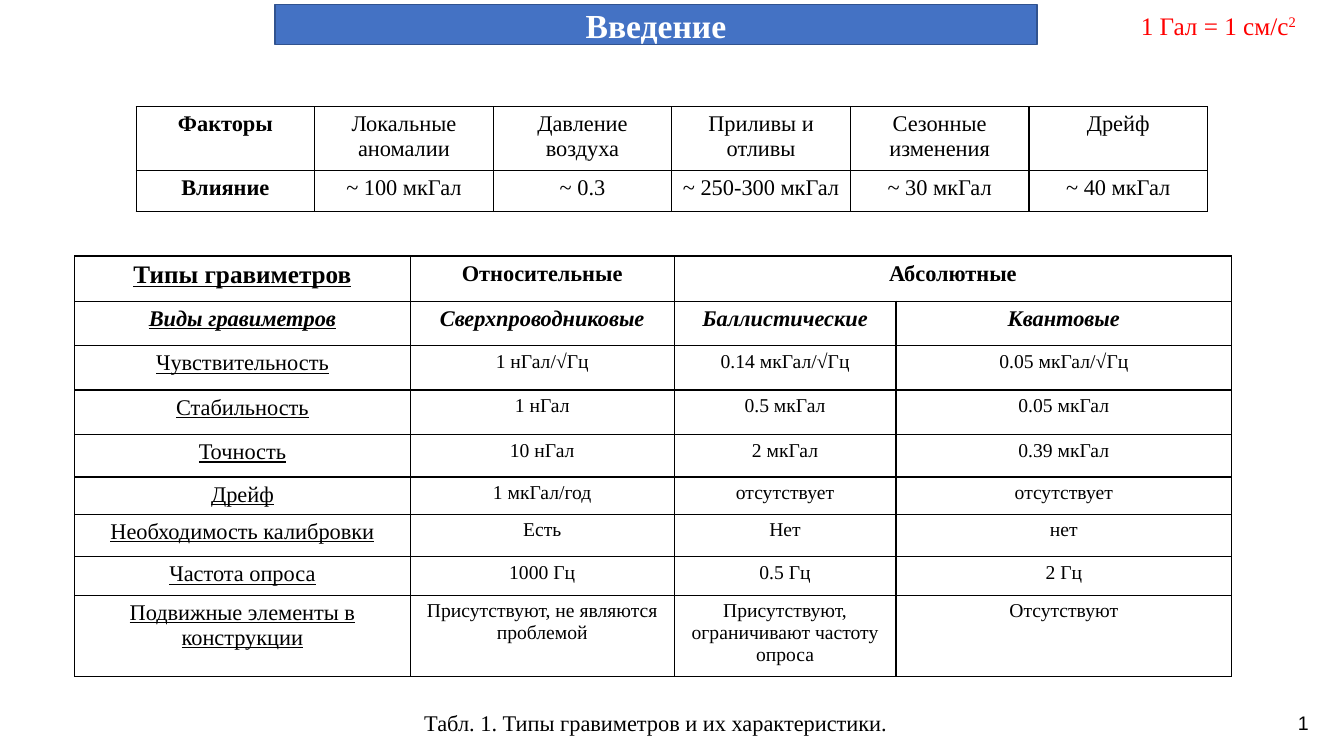
from lxml.etree import SubElement
from pptx import Presentation
from pptx.dml.color import RGBColor
from pptx.enum.text import MSO_ANCHOR, MSO_AUTO_SIZE, PP_ALIGN
from pptx.oxml import parse_xml
from pptx.oxml.ns import nsdecls, qn
from pptx.util import Cm, Pt

COLORS = {"bar": "4472C4", "edge": "31538F", "white": "FFFFFF",
          "black": "000000", "red": "FF0000"}

TITLE = "Введение"
UNIT = [("1 Гал = 1 см/c", {}), ("2", {"raised": True})]
CAPTION = "Табл. 1. Типы гравиметров и их характеристики."
NUMBER = "1"

FACTORS = [
    ("Факторы", "Локальные аномалии", "Давление воздуха", "Приливы и отливы",
     "Сезонные изменения", "Дрейф"),
    ("Влияние", "~ 100 мкГал", "~ 0.3", "~ 250-300 мкГал", "~ 30 мкГал",
     "~ 40 мкГал"),
]
FACTOR_COLS = [4.5] * 6
FACTOR_ROWS = [1.6, 1.04]

TYPES = [
    ("Типы гравиметров", "Относительные", "Абсолютные", ""),
    ("Виды гравиметров", "Сверхпроводниковые", "Баллистические", "Квантовые"),
    ("Чувствительность", "1 нГал/√Гц", "0.14 мкГал/√Гц", "0.05 мкГал/√Гц"),
    ("Стабильность", "1 нГал", "0.5 мкГал", "0.05 мкГал"),
    ("Точность", "10 нГал", "2 мкГал", "0.39 мкГал"),
    ("Дрейф", "1 мкГал/год", "отсутствует", "отсутствует"),
    ("Необходимость калибровки", "Есть", "Нет", "нет"),
    ("Частота опроса", "1000 Гц", "0.5 Гц", "2 Гц"),
    ("Подвижные элементы в конструкции", "Присутствуют, не являются проблемой",
     "Присутствуют, ограничивают частоту опроса", "Отсутствуют"),
]
TYPE_COLS = [8.46, 6.65, 5.59, 8.46]
TYPE_ROWS = [1.14, 1.12, 1.12, 1.12, 1.07, 0.94, 1.07, 0.97, 2.04]


def tint(name):
    return RGBColor.from_string(COLORS[name])


def write(frame, text, size=16, font="Times New Roman", color="black",
          align=PP_ALIGN.CENTER, **look):
    """Fill a frame with a string or with (text, look) parts."""
    para = frame.paragraphs[0]
    para.alignment = align
    parts = [(text, {})] if isinstance(text, str) else text
    for words, extra in parts:
        run = para.add_run()
        run.text = words
        run.font.size = Pt(size)
        run.font.name = font
        run.font.color.rgb = tint(color)
        style = {**look, **extra}
        run.font.bold = style.get("bold", False)
        run.font.italic = style.get("italic", False)
        run.font.underline = style.get("under", False)
        if style.get("raised"):
            run._r.get_or_add_rPr().set("baseline", "30000")


def place(shape, left, top, width, height):
    shape.left, shape.top = Cm(left), Cm(top)
    shape.width, shape.height = Cm(width), Cm(height)


def add_label(slide, box, text, wrap=False, **look):
    frame = slide.shapes.add_textbox(*map(Cm, box)).text_frame
    frame.word_wrap = wrap
    frame.auto_size = MSO_AUTO_SIZE.SHAPE_TO_FIT_TEXT
    write(frame, text, **look)


def rule_cell(cell):
    """Give a cell a white fill and thin black borders."""
    props = cell._tc.get_or_add_tcPr()
    for side in ("lnL", "lnR", "lnT", "lnB"):
        line = SubElement(props, qn(f"a:{side}"), w="12700")
        fill = SubElement(line, qn("a:solidFill"))
        SubElement(fill, qn("a:srgbClr"), val=COLORS["black"])
    cell.fill.solid()
    cell.fill.fore_color.rgb = tint("white")


def add_grid(slide, left, top, cols, rows, data, style):
    """Add a ruled table; style(row, col) gives the look of a cell."""
    table = slide.shapes.add_table(
        len(rows), len(cols), Cm(left), Cm(top),
        Cm(sum(cols)), Cm(sum(rows))).table
    for col, width in zip(table.columns, cols):
        col.width = Cm(width)
    for r, height in enumerate(rows):
        table.rows[r].height = Cm(height)
        for c, text in enumerate(data[r]):
            cell = table.cell(r, c)
            rule_cell(cell)
            head, root, tail = text.partition("√")
            parts = [(head, {}), (root, {"bold": True}), (tail, {})]
            write(cell.text_frame, parts if root else text, **style(r, c))
    return table


def factor_style(row, col):
    return {"bold": col == 0}


def type_style(row, col):
    size = 18 if row == col == 0 else 16 if row < 2 or col == 0 else 14
    return {"size": size, "bold": row < 2, "italic": row == 1,
            "under": col == 0}


def add_title(slide):
    bar = slide.shapes.title
    place(bar, 6.93, 0.12, 19.2, 1)
    bar._element.spPr.append(parse_xml(
        f'<a:prstGeom {nsdecls("a")} prst="roundRect"><a:avLst/></a:prstGeom>'))
    bar.fill.solid()
    bar.fill.fore_color.rgb = tint("bar")
    bar.line.color.rgb = tint("edge")
    bar.line.width = Pt(1)
    frame = bar.text_frame
    frame.auto_size = MSO_AUTO_SIZE.NONE
    frame.vertical_anchor = MSO_ANCHOR.MIDDLE
    write(frame, TITLE, size=24, color="white", bold=True)


def main():
    deck = Presentation()
    deck.slide_width, deck.slide_height = Cm(33.87), Cm(19.05)
    slide = deck.slides.add_slide(deck.slide_layouts[5])
    add_title(slide)
    add_label(slide, (10.29, 17.75, 12.47, 0.94), CAPTION)
    add_label(slide, (32.46, 17.8, 0.99, 0.86), NUMBER, wrap=True,
              size=14, font="Arial", align=PP_ALIGN.LEFT)
    add_label(slide, (28.5, 0.13, 4.5, 1.02), UNIT, size=18, color="red",
              align=PP_ALIGN.LEFT)
    types = add_grid(slide, 1.88, 6.45, TYPE_COLS, TYPE_ROWS, TYPES, type_style)
    types.cell(0, 2).merge(types.cell(0, 3))
    add_grid(slide, 3.43, 2.69, FACTOR_COLS, FACTOR_ROWS, FACTORS, factor_style)
    deck.save("out.pptx")


if __name__ == "__main__":
    main()
